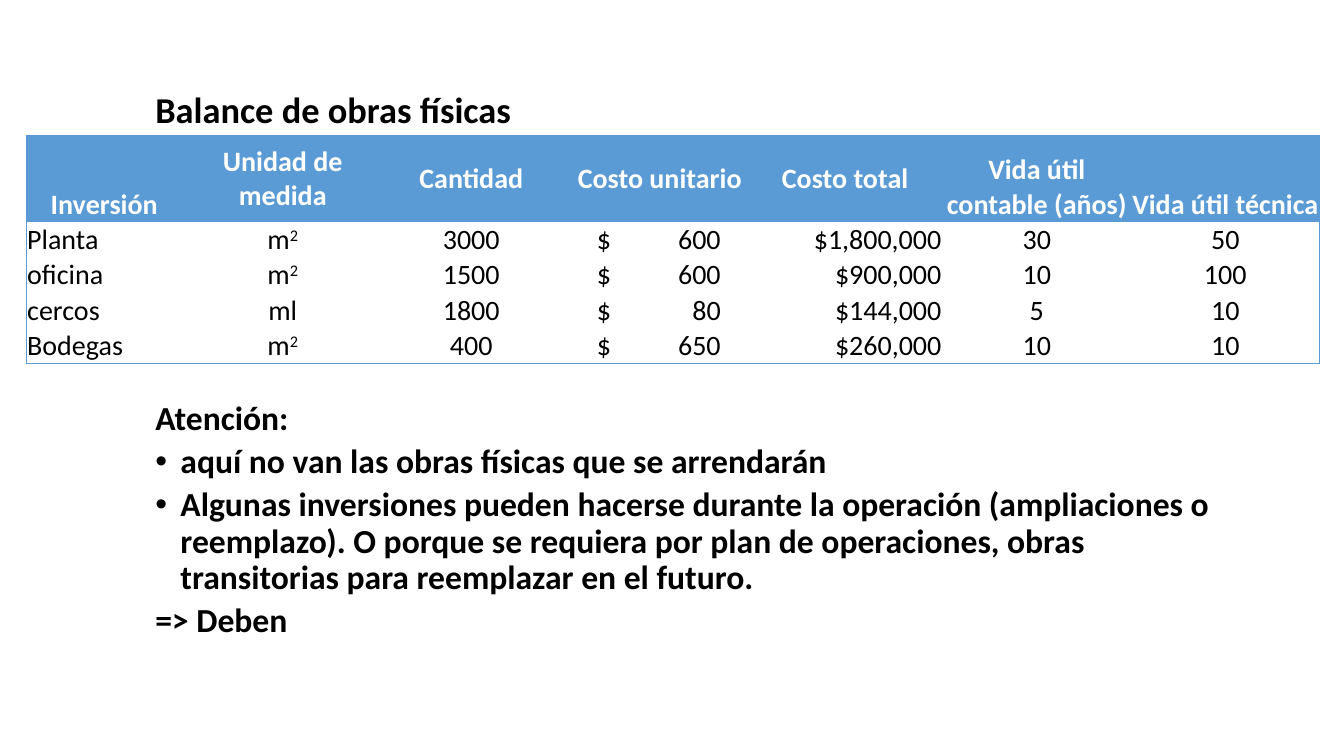
from lxml.etree import SubElement
from pptx import Presentation
from pptx.dml.color import RGBColor
from pptx.enum.text import MSO_ANCHOR, MSO_AUTO_SIZE, PP_ALIGN
from pptx.oxml.ns import qn
from pptx.util import Inches, Pt

FONT = "Calibri"
BLACK = RGBColor(0x00, 0x00, 0x00)
WHITE = RGBColor(0xFF, 0xFF, 0xFF)
BLUE = RGBColor(0x5B, 0x9B, 0xD5)
PLAIN_TABLE_STYLE = "{2D5ABB26-0587-4C30-8999-92F81FD0307C}"

# Wording: text, size, bulleted, space before in points
BODY = [
    ("Balance de obras físicas", 26, False, 5),
    ("Atención: ", 24, False, 193),  # leaves room for the table
    ("aquí no van las obras físicas que se arrendarán", 24, True, 5),
    ("Algunas inversiones pueden hacerse durante la operación (ampliaciones o "
     "reemplazo). O porque se requiera por plan de operaciones, obras "
     "transitorias para reemplazar en el futuro.", 24, True, 5),
    ("=> Deben ", 24, False, 5),
]
WORKS = [
    ["Inversión ", "Unidad de medida", "Cantidad", "Costo unitario",
     "Costo total ", "Vida útil contable (años)", "Vida útil técnica"],
    ["Planta", "m2", "3000", "\t$\t600", "$1,800,000", "30", "50"],
    ["oficina", "m2", "1500", "\t$\t600", "$900,000", "10", "100"],
    ["cercos", "ml", "1800", "\t$\t80", "$144,000", "5", "10"],
    ["Bodegas", "m2", "400", "\t$\t650", "$260,000", "10", "10"],
]
UNIT_COST, TOTAL_COST = 3, 4


def format_runs(paragraph, size, color, bold):
    for run in paragraph.runs:
        font = run.font
        font.name, font.size, font.bold = FONT, Pt(size), bold
        font.color.rgb = color


def set_bullet(paragraph, bulleted):
    properties = paragraph._p.get_or_add_pPr()
    properties.set("marL", str(Inches(0.75 if bulleted else 0.5)))
    properties.set("indent", str(Inches(-0.25 if bulleted else 0)))
    if bulleted:
        SubElement(properties, qn("a:buFont"), typeface="Arial")
        SubElement(properties, qn("a:buChar"), char="•")
    else:
        SubElement(properties, qn("a:buNone"))


def fill_body(placeholder):
    placeholder.left, placeholder.top = Inches(0.94), Inches(0.86)
    placeholder.width, placeholder.height = Inches(11.5), Inches(5.84)
    text_frame = placeholder.text_frame
    text_frame.text = "\n".join(entry[0] for entry in BODY)
    text_frame.auto_size = MSO_AUTO_SIZE.NONE
    text_frame.vertical_anchor = MSO_ANCHOR.TOP
    for paragraph, (_, size, bulleted, before) in zip(text_frame.paragraphs, BODY):
        paragraph.level = 1
        paragraph.line_spacing = 0.9
        paragraph.space_before = Pt(before)
        set_bullet(paragraph, bulleted)
        format_runs(paragraph, size, BLACK, True)


def add_border(cell, side):
    line = SubElement(cell._tc.get_or_add_tcPr(), qn(f"a:ln{side}"), w=str(Pt(0.5)))
    fill = SubElement(line, qn("a:solidFill"))
    SubElement(fill, qn("a:srgbClr"), val=str(BLUE))


def set_cost_tabs(paragraph):
    tabs = SubElement(paragraph._p.get_or_add_pPr(), qn("a:tabLst"))
    for position, alignment in ((0.3, "l"), (1.53, "r")):
        SubElement(tabs, qn("a:tab"), pos=str(Inches(position)), algn=alignment)


def write_cell(cell, text, row, column):
    header = row == 0
    cell.margin_left = cell.margin_right = cell.margin_top = Inches(0.01)
    cell.margin_bottom = 0
    at_bottom = (column > TOTAL_COST or (column == TOTAL_COST and not header)
                 or (column == 0 and row in (0, len(WORKS) - 1)))
    cell.vertical_anchor = MSO_ANCHOR.BOTTOM if at_bottom else MSO_ANCHOR.MIDDLE

    paragraph = cell.text_frame.paragraphs[0]
    paragraph.alignment = PP_ALIGN.CENTER
    if not header and column in (0, UNIT_COST):
        paragraph.alignment = PP_ALIGN.LEFT
    elif not header and column == TOTAL_COST:
        paragraph.alignment = PP_ALIGN.RIGHT
    if not header and column == UNIT_COST:
        set_cost_tabs(paragraph)

    # Square metres carry a raised exponent
    paragraph.text = "m" if text == "m2" else text
    if text == "m2":
        exponent = paragraph.add_run()
        exponent.text = "2"
        exponent._r.get_or_add_rPr().set("baseline", "30000")
    format_runs(paragraph, 20, WHITE if header else BLACK, header)

    # Outer frame only
    edges = {"L": column == 0, "R": column == len(WORKS[0]) - 1,
             "T": header, "B": row == len(WORKS) - 1}
    for side, outer in edges.items():
        if outer:
            add_border(cell, side)
    if header:
        cell.fill.solid()
        cell.fill.fore_color.rgb = BLUE
    else:
        cell.fill.background()


def add_works_table(slide):
    frame = slide.shapes.add_table(len(WORKS), len(WORKS[0]), Inches(0.26),
                                   Inches(1.34), Inches(12.8), Inches(2.22))
    table = frame.table
    table.first_row = table.horz_banding = False
    table._tbl.tblPr.find(qn("a:tableStyleId")).text = PLAIN_TABLE_STYLE
    for index, column in enumerate(table.columns):
        column.width = Inches(1.87 if index else 1.61)
    for index, row in enumerate(table.rows):
        row.height = Inches(0.24 if index else 0.86)
    for row, texts in enumerate(WORKS):
        for column, text in enumerate(texts):
            write_cell(table.cell(row, column), text, row, column)


def main():
    presentation = Presentation()
    presentation.slide_width = Inches(13.33)
    presentation.slide_height = Inches(7.5)
    slide = presentation.slides.add_slide(presentation.slide_layouts[1])
    title = slide.shapes.title._element
    title.getparent().remove(title)
    fill_body(slide.placeholders[1])
    add_works_table(slide)
    presentation.save("out.pptx")


main()
